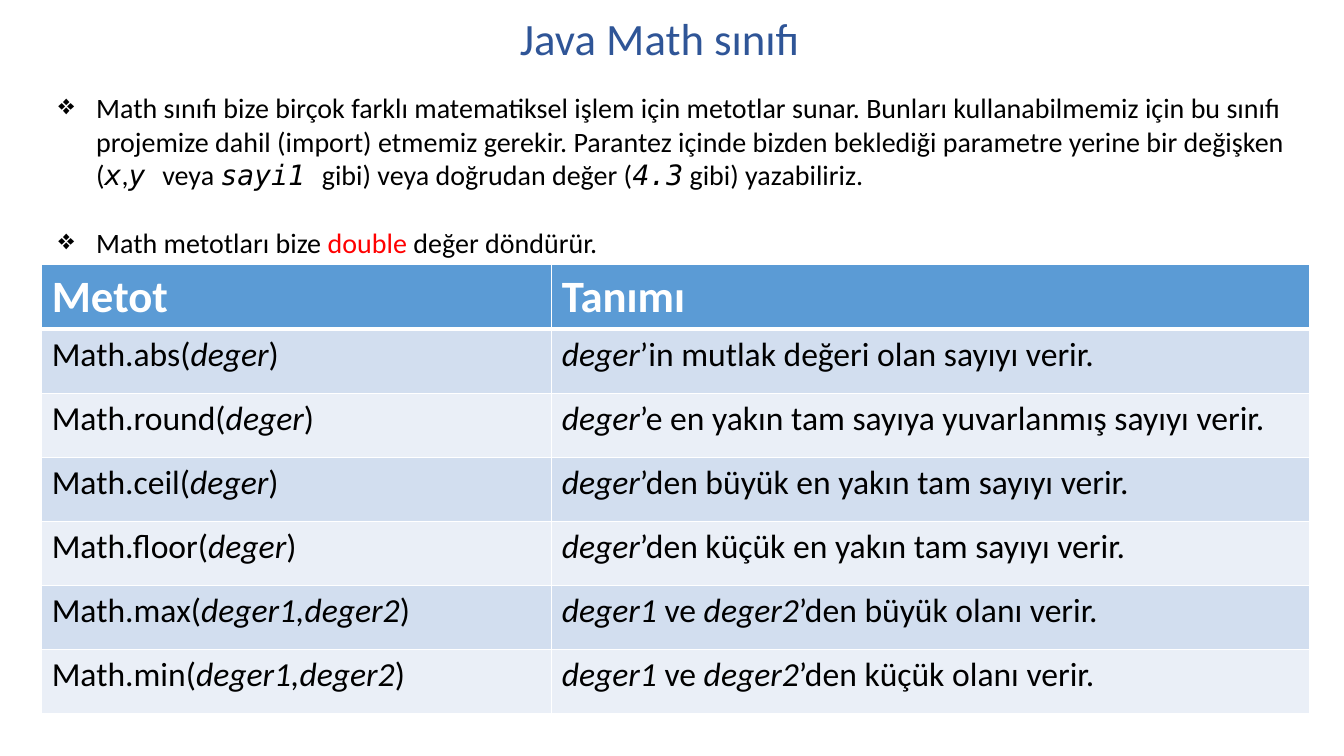
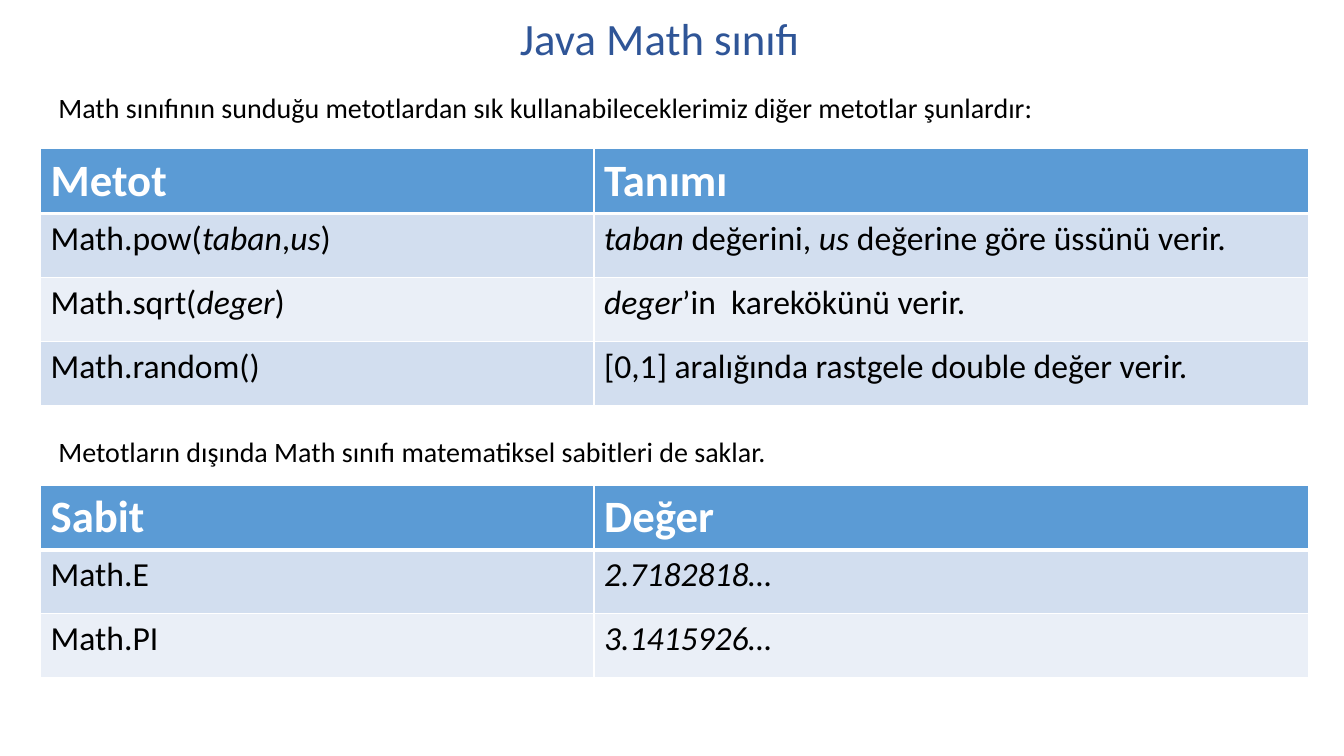
"""Two slides on the Java Math class: its methods and its constants."""
import pptx
import pptx.util
import pptx.dml.color
import pptx.oxml.ns
from lxml import etree

Pt = pptx.util.Pt
RGB = pptx.dml.color.RGBColor.from_string
qn = pptx.oxml.ns.qn

COLORS = {"title": "2F5597", "text": "000000", "key": "FF0000", "white": "FFFFFF",
          "header": "5B9BD5", "odd": "D2DEEF", "even": "EAEFF7"}
FONT, CODE_FONT = "Calibri", "DejaVu Sans Mono"
TITLE = "Java Math sınıfı"
TITLE_SIZE, NOTE_SIZE, CELL_SIZE = 32, 20, 24
NOTE_LEFT, NOTE_TOP = 34.6, 61.2
NOTE_GAP, BULLET_INDENT = 24.4, 27
TABLE_WIDTH, HEADER_HEIGHT, ROW_HEIGHT = 905.8, 46.2, 45.7

ITALIC = {"italic": True}
CODE = {"italic": True, "font": CODE_FONT}
KEYWORD = {"color": "key"}

# Text between asterisks takes the emphasis style of its paragraph.
SLIDES = [
    {"notes": [
        {"top": NOTE_TOP, "width": 914.4, "height": 128, "bullet": "❖", "paragraphs": [
            ("Math sınıfı bize birçok farklı matematiksel işlem için metotlar sunar. "
             "Bunları kullanabilmemiz için bu sınıfı projemize dahil (import) etmemiz gerekir. "
             "Parantez içinde bizden beklediği parametre yerine bir değişken "
             "(*x*,*y *veya *sayi1 *gibi) veya doğrudan değer (*4.3* gibi) yazabiliriz.", CODE),
            ("Math metotları bize *double* değer döndürür.", KEYWORD)]}],
     "tables": [
        {"left": 29.8, "top": 189, "first_width": 364.3, "rows": [
            ("Metot", "Tanımı"),
            ("Math.abs(*deger*)", "*deger*’in mutlak değeri olan sayıyı verir."),
            ("Math.round(*deger*)", "*deger*’e en yakın tam sayıya yuvarlanmış sayıyı verir."),
            ("Math.ceil(*deger*)", "*deger*’den büyük en yakın tam sayıyı verir."),
            ("Math.floor(*deger*)", "*deger*’den küçük en yakın tam sayıyı verir."),
            ("Math.max(*deger1,deger2*)", "*deger1* ve *deger2*’den büyük olanı verir."),
            ("Math.min(*deger1,deger2*)", "*deger1 *ve *deger2*’den küçük olanı verir.")]}]},
    {"notes": [
        {"top": NOTE_TOP, "width": 717.8, "height": 31.7, "paragraphs": [
            ("Math sınıfının sunduğu metotlardan sık kullanabileceklerimiz "
             "diğer metotlar şunlardır:", ITALIC)]},
        {"top": 306.7, "width": 530.6, "height": 31.7, "paragraphs": [
            ("Metotların dışında Math sınıfı matematiksel sabitleri de saklar.", ITALIC)]}],
     "tables": [
        {"left": 29, "top": 106.3, "first_width": 395.3, "rows": [
            ("Metot", "Tanımı"),
            ("Math.pow(*taban*,*us*)", "*taban* değerini, *us* değerine göre üssünü verir."),
            ("Math.sqrt(*deger*)", "*deger*’in  karekökünü verir."),
            ("Math.random()", "[0,1] aralığında rastgele double değer verir.")]},
        {"left": 29, "top": 346.6, "first_width": 395.3, "rows": [
            ("Sabit", "Değer"),
            ("Math.E", "*2.7182818…*"),
            ("Math.PI", "*3.1415926…*")]}]},
]


def add_runs(p, text, size, color="text", bold=False, emphasis=ITALIC):
    for i, part in enumerate(text.split("*")):
        if not part:
            continue
        style = emphasis if i % 2 else {}
        r = p.add_run()
        r.text = part
        r.font.size = Pt(size)
        r.font.name = style.get("font", FONT)
        r.font.bold = bold
        r.font.italic = style.get("italic", False)
        r.font.color.rgb = RGB(COLORS[style.get("color", color)])


def add_text_frame(s, left, top, width, height, wrap):
    tf = s.shapes.add_textbox(Pt(left), Pt(top), Pt(width), Pt(height)).text_frame
    tf.word_wrap = wrap
    return tf


def add_bullet(p, char):
    pPr = p._p.get_or_add_pPr()
    pPr.set("marL", str(Pt(BULLET_INDENT)))
    pPr.set("indent", str(-Pt(BULLET_INDENT)))
    etree.SubElement(pPr, qn("a:buChar"), char=char)


def add_note(s, note):
    bullet = note.get("bullet")
    tf = add_text_frame(s, NOTE_LEFT, note["top"], note["width"], note["height"], bool(bullet))
    for i, (text, emphasis) in enumerate(note["paragraphs"]):
        p = tf.add_paragraph() if i else tf.paragraphs[0]
        if i:
            p.space_before = Pt(NOTE_GAP)
        if bullet:
            add_bullet(p, bullet)
        add_runs(p, text, NOTE_SIZE, emphasis=emphasis)


def add_borders(cell, widths):
    tcPr = cell._tc.get_or_add_tcPr()
    for side, width in widths.items():
        ln = etree.SubElement(tcPr, qn("a:ln" + side), w=str(Pt(width)))
        fill = etree.SubElement(ln, qn("a:solidFill"))
        etree.SubElement(fill, qn("a:srgbClr"), val=COLORS["white"])


def add_table(s, left, top, first_width, rows):
    height = HEADER_HEIGHT + ROW_HEIGHT * (len(rows) - 1)
    table = s.shapes.add_table(len(rows), 2, Pt(left), Pt(top), Pt(TABLE_WIDTH), Pt(height)).table
    table.horz_banding = False
    table.columns[0].width = Pt(first_width)
    table.columns[1].width = Pt(TABLE_WIDTH - first_width)
    for i, row in enumerate(rows):
        header = i == 0
        table.rows[i].height = Pt(HEADER_HEIGHT if header else ROW_HEIGHT)
        fill = "header" if header else "odd" if i % 2 else "even"
        for j, text in enumerate(row):
            cell = table.cell(i, j)
            add_borders(cell, {"L": 1, "R": 1, "T": 3 if i == 1 else 1, "B": 3 if header else 1})
            cell.fill.solid()
            cell.fill.fore_color.rgb = RGB(COLORS[fill])
            add_runs(cell.text_frame.paragraphs[0], text,
                     TITLE_SIZE if header else CELL_SIZE,
                     "white" if header else "text", bold=header)


def main():
    prs = pptx.Presentation()
    prs.slide_width, prs.slide_height = Pt(960), Pt(540)
    for content in SLIDES:
        s = prs.slides.add_slide(prs.slide_layouts[6])
        tf = add_text_frame(s, 364.3, 4.3, 216.7, 46, False)
        add_runs(tf.paragraphs[0], TITLE, TITLE_SIZE, "title")
        for note in content["notes"]:
            add_note(s, note)
        for table in content["tables"]:
            add_table(s, **table)
    prs.save("out.pptx")


if __name__ == "__main__":
    main()
